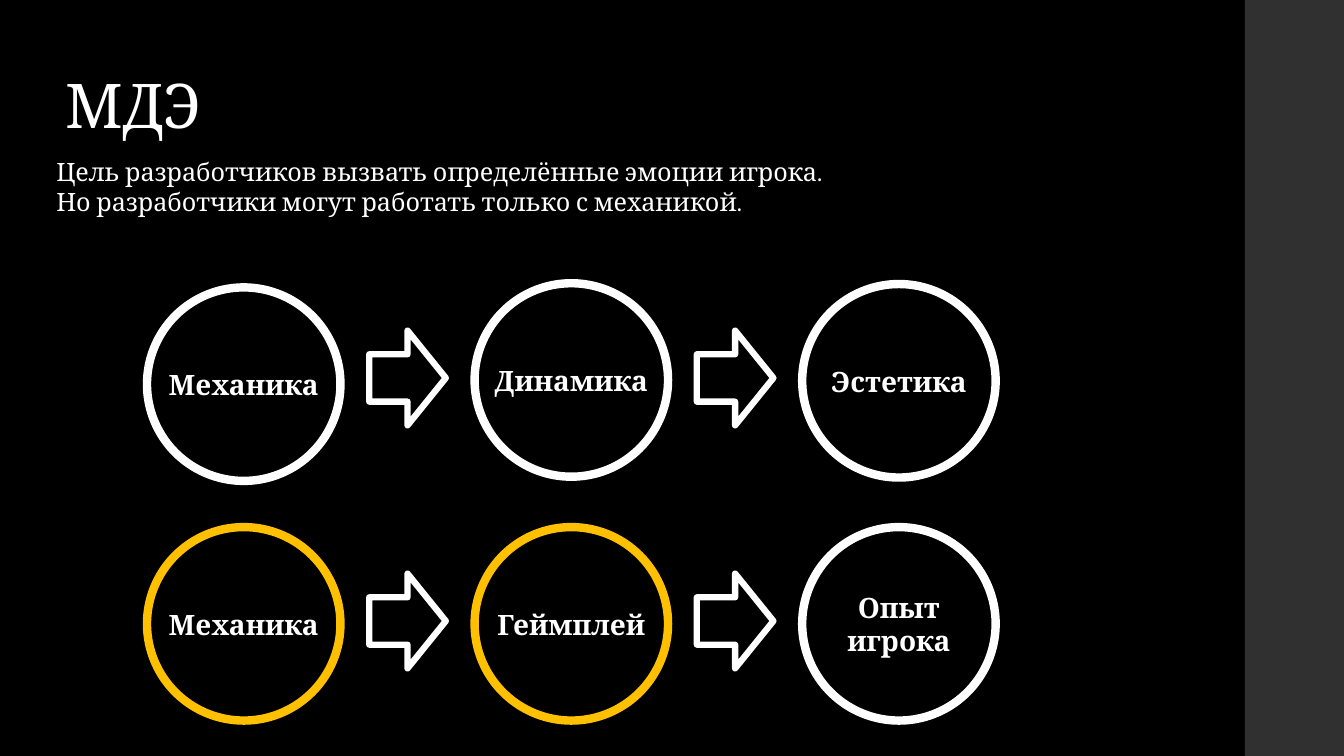
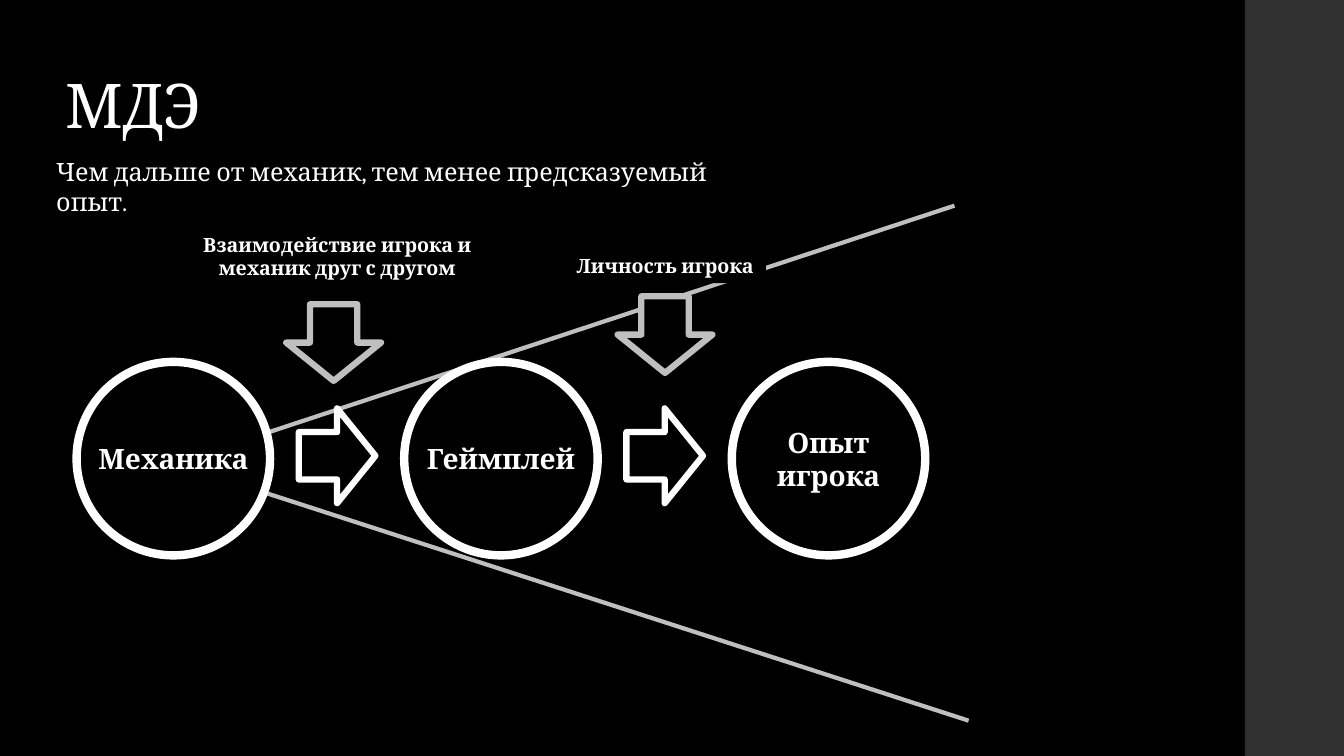
from pptx import Presentation
from pptx.dml.color import RGBColor
from pptx.enum.shapes import MSO_CONNECTOR, MSO_SHAPE
from pptx.enum.text import MSO_ANCHOR, PP_ALIGN
from pptx.oxml.ns import qn
from pptx.util import Pt
from lxml import etree

# Colours
BLACK = RGBColor(0x00, 0x00, 0x00)
WHITE = RGBColor(0xFF, 0xFF, 0xFF)
GOLD = RGBColor(0xFF, 0xC0, 0x00)
GREY = RGBColor(0xBF, 0xBF, 0xBF)
DARK = RGBColor(0x30, 0x30, 0x30)

# Enum members
OVAL, RECT = MSO_SHAPE.OVAL, MSO_SHAPE.RECTANGLE
RIGHT, DOWN = MSO_SHAPE.RIGHT_ARROW, MSO_SHAPE.DOWN_ARROW
STRAIGHT = MSO_CONNECTOR.STRAIGHT
TOP, MIDDLE, BOTTOM = MSO_ANCHOR.TOP, MSO_ANCHOR.MIDDLE, MSO_ANCHOR.BOTTOM
LEFT, CENTER = PP_ALIGN.LEFT, PP_ALIGN.CENTER

# Measures in points
WIDTH, HEIGHT = 960, 540
BAND = 889.2
SIZE = 138.2            # circle diameter
PITCH = 234             # from circle to circle
SPAN, DEPTH = 67.7, 54.7  # arrow across and along
FONT = "Cambria"


class Deck:
    def __init__(self):
        self.prs = Presentation()
        self.prs.slide_width = Pt(WIDTH)
        self.prs.slide_height = Pt(HEIGHT)
        self.slide = None

    def start(self, title, lines, width):
        """New slide with background, side band, title and lead text."""
        self.slide = self.prs.slides.add_slide(self.prs.slide_layouts[6])
        fill = self.slide.background.fill
        fill.solid()
        fill.fore_color.rgb = BLACK
        self.shape(RECT, BAND, 0, WIDTH - BAND, HEIGHT, DARK)
        head = self.text([title], 39.6, 25.2, 763.2, 79.9, 44, anchor=BOTTOM)
        par = head.text_frame.paragraphs[0]
        par.line_spacing = 0.9
        par.runs[0].font._element.set("spc", "-50")
        self.text(lines, 33.1, 108, width, 51, 18)

    def shape(self, kind, x, y, w, h, fill=BLACK, line=None, weight=4.5):
        shp = self.slide.shapes.add_shape(kind, Pt(x), Pt(y), Pt(w), Pt(h))
        shp.shadow.inherit = False
        shp.fill.solid()
        shp.fill.fore_color.rgb = fill
        if line is None:
            shp.line.fill.background()
        else:
            shp.line.color.rgb = line
            shp.line.width = Pt(weight)
        return shp

    def label(self, shp, lines, size, bold, align, anchor, wrap=True):
        frame = shp.text_frame
        frame.word_wrap = wrap
        frame.vertical_anchor = anchor
        for i, line in enumerate(lines):
            par = frame.add_paragraph() if i else frame.paragraphs[0]
            par.alignment = align
            run = par.add_run()
            run.text = line
            font = run.font
            font.name, font.size, font.bold = FONT, Pt(size), bold
            font.color.rgb = WHITE

    def text(self, lines, x, y, w, h, size, bold=False, align=LEFT, anchor=TOP):
        box = self.slide.shapes.add_textbox(Pt(x), Pt(y), Pt(w), Pt(h))
        self.label(box, lines, size, bold, align, anchor)
        return box

    def circle(self, lines, x, mid, color):
        shp = self.shape(OVAL, x, mid - SIZE / 2, SIZE, SIZE, BLACK, color, 6)
        self.label(shp, lines, 20, True, CENTER, MIDDLE, wrap=False)

    def chain(self, left, mid, items):
        """Row of circles with an arrow in each gap."""
        for i, (lines, color, drop) in enumerate(items):
            x = left + i * PITCH
            self.circle(lines, x, mid + drop, color)
            if i:
                gap = x - (PITCH - SIZE + DEPTH) / 2
                self.shape(RIGHT, gap, mid - 2 - SPAN / 2, DEPTH, SPAN,
                           line=WHITE)

    def down(self, x, y):
        self.shape(DOWN, x, y, SPAN, DEPTH, line=GREY)

    def ray(self, x1, y1, x2, y2):
        con = self.slide.shapes.add_connector(
            STRAIGHT, Pt(x1), Pt(y1), Pt(x2), Pt(y2))
        con.line.color.rgb = GREY
        con.line.width = Pt(3)
        etree.SubElement(con._element.spPr, qn("a:effectLst"))


def main():
    deck = Deck()
    title = "МДЭ"
    mech, game, feel = ["Механика"], ["Геймплей"], ["Опыт", "игрока"]

    # Slide 1: two chains
    deck.start(title, ["Цель разработчиков вызвать определённые эмоции игрока.",
                       "Но разработчики могут работать только с механикой."],
               644.4)
    deck.chain(105, 272, [(mech, WHITE, 2.4), (["Динамика"], WHITE, -0.6),
                          (["Эстетика"], WHITE, 0)])
    deck.chain(105, 445.6, [(mech, GOLD, 0), (game, GOLD, 0),
                            (feel, WHITE, 0)])

    # Slide 2: rays widening from the mechanics
    deck.start(title, ["Чем дальше от механик, тем менее предсказуемый опыт."],
               532.8)
    deck.ray(124.6, 331, 681.8, 146.9)
    deck.ray(124.6, 331, 691.9, 514.8)
    deck.chain(54.7, 327.6, [(mech, WHITE, 0), (game, WHITE, 0),
                             (feel, WHITE, 0)])

    # Influences above the gaps
    deck.down(204.5, 217.4)
    deck.down(441.2, 211.7)
    deck.text(["Взаимодействие игрока и механик друг с другом"],
              131.8, 162.7, 218.2, 41, 14, True, CENTER)
    plate = deck.shape(RECT, 403.2, 177.8, 144, 24.4)
    deck.label(plate, ["Личность игрока"], 14, True, CENTER, MIDDLE)

    deck.prs.save("out.pptx")


if __name__ == "__main__":
    main()
